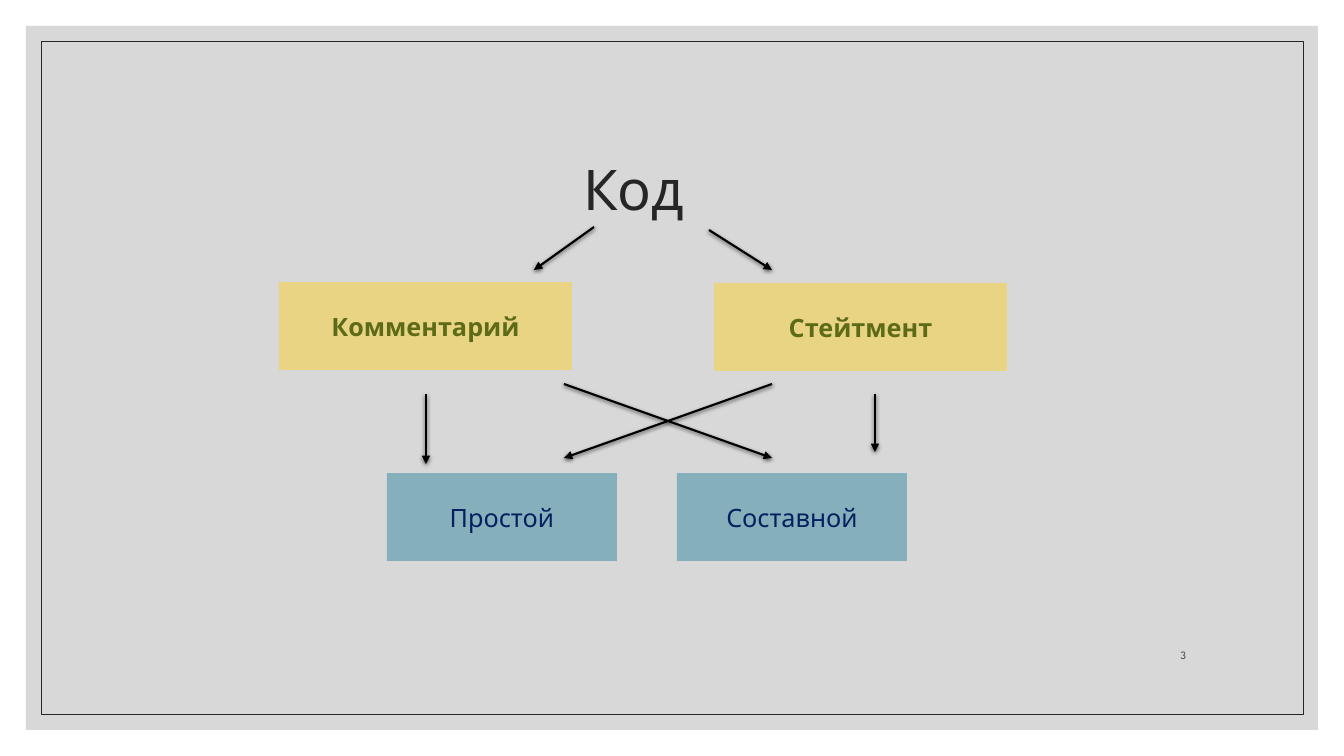
from dataclasses import dataclass

import lxml.etree
import pptx
import pptx.dml.color
import pptx.enum.shapes
import pptx.enum.text
import pptx.oxml
import pptx.oxml.ns
import pptx.util

RGBColor = pptx.dml.color.RGBColor
Align = pptx.enum.text.PP_ALIGN
Anchor = pptx.enum.text.MSO_ANCHOR

EMU_PER_PX = 914400 / 100.8
FONT = "League Spartan"
GREY = RGBColor(0xBF, 0xBF, 0xBF)
INK = RGBColor(0x26, 0x26, 0x26)
NUMBER_GREY = RGBColor(0x40, 0x40, 0x40)
YELLOW = RGBColor(0xF8, 0xD2, 0x2F)
OLIVE = RGBColor(0x5D, 0x6B, 0x18)
TEAL = RGBColor(0x34, 0x88, 0xA0)
NAVY = RGBColor(0x00, 0x20, 0x60)
BLACK = RGBColor(0x00, 0x00, 0x00)

SHADOW = (
    f'<a:effectLst {pptx.oxml.ns.nsdecls("a")}>'
    '<a:outerShdw blurRad="38100" dist="12700" dir="5400000" rotWithShape="0">'
    '<a:srgbClr val="000000"><a:alpha val="63000"/></a:srgbClr>'
    "</a:outerShdw></a:effectLst>"
)


@dataclass(frozen=True)
class Level:
    width: int
    fill: RGBColor
    color: RGBColor
    bold: bool


@dataclass(frozen=True)
class Node:
    text: str
    left: int
    top: int
    level: Level


@dataclass(frozen=True)
class Arrow:
    start: tuple[int, int]
    end: tuple[int, int]


NODE_HEIGHT = 88
PART = Level(293, YELLOW, OLIVE, True)
KIND = Level(230, TEAL, NAVY, False)

NODES = [
    Node("Комментарий", 279, 282, PART),
    Node("Стейтмент", 714, 283, PART),
    Node("Простой", 387, 473, KIND),
    Node("Составной", 677, 473, KIND),
]
ARROWS = [
    Arrow((594, 227), (534, 270)),
    Arrow((709, 230), (772, 270)),
    Arrow((426, 394), (426, 464)),
    Arrow((875, 394), (875, 452)),
    Arrow((772, 384), (564, 458)),
    Arrow((564, 384), (772, 458)),
]


def px(length: int) -> pptx.util.Emu:
    return pptx.util.Emu(round(length * EMU_PER_PX))


def set_all(target, values: dict) -> None:
    for name, value in values.items():
        setattr(target, name, value)


def write(shape, text: str, size: int, color: RGBColor, align: Align,
          anchor: Anchor, bold: bool = False) -> None:
    frame = shape.text_frame
    set_all(frame, {
        "text": text,
        "word_wrap": True,
        "auto_size": pptx.enum.text.MSO_AUTO_SIZE.NONE,
        "vertical_anchor": anchor,
    })
    paragraph = frame.paragraphs[0]
    paragraph.alignment = align
    font = paragraph.runs[0].font
    set_all(font, {"name": FONT, "size": pptx.util.Pt(size), "bold": bold})
    font.color.rgb = color


def add_rectangle(slide, left: int, top: int, width: int, height: int):
    rectangle = slide.shapes.add_shape(
        pptx.enum.shapes.MSO_SHAPE.RECTANGLE,
        px(left), px(top), px(width), px(height))
    rectangle.shadow.inherit = False
    return rectangle


def fill_translucent(shape, color: RGBColor, percent: int) -> None:
    shape.fill.solid()
    shape.fill.fore_color.rgb = color
    shape.line.fill.background()
    tint = shape.element.spPr.find(
        f'{pptx.oxml.ns.qn("a:solidFill")}/{pptx.oxml.ns.qn("a:srgbClr")}')
    lxml.etree.SubElement(
        tint, pptx.oxml.ns.qn("a:alpha"), val=str(percent * 1000))


def add_backdrop(slide) -> None:
    panel = add_rectangle(slide, 26, 26, 1292, 704)
    fill_translucent(panel, GREY, 60)
    border = add_rectangle(slide, 41, 41, 1262, 673)
    border.fill.background()
    border.line.color.rgb = INK
    border.line.width = pptx.util.Pt(0.5)


def place_title(slide) -> None:
    title = slide.shapes.title
    set_all(title, {"left": px(573), "top": px(125),
                    "width": px(136), "height": px(134)})
    write(title, "Код", 40, INK, Align.LEFT, Anchor.MIDDLE)
    title.text_frame.paragraphs[0].line_spacing = 0.9
    title.element.getparent().append(title.element)


def add_page_number(slide) -> None:
    number = slide.shapes.add_textbox(px(1103), px(627), px(93), px(40))
    write(number, "3", 8, NUMBER_GREY, Align.RIGHT, Anchor.BOTTOM)


def add_node(slide, node: Node) -> None:
    level = node.level
    box = add_rectangle(slide, node.left, node.top, level.width, NODE_HEIGHT)
    fill_translucent(box, level.fill, 50)
    write(box, node.text, 18, level.color, Align.CENTER, Anchor.MIDDLE,
          level.bold)


def add_arrow(slide, arrow: Arrow) -> None:
    connector = slide.shapes.add_connector(
        pptx.enum.shapes.MSO_CONNECTOR.STRAIGHT,
        *map(px, arrow.start + arrow.end))
    connector.line.color.rgb = BLACK
    connector.line.width = pptx.util.Pt(1.5)
    properties = connector.element.spPr
    lxml.etree.SubElement(
        properties.find(pptx.oxml.ns.qn("a:ln")),
        pptx.oxml.ns.qn("a:tailEnd"), type="triangle")
    properties.append(pptx.oxml.parse_xml(SHADOW))


def main() -> None:
    deck = pptx.Presentation()
    set_all(deck, {"slide_width": px(1344), "slide_height": px(756)})
    slide = deck.slides.add_slide(deck.slide_layouts.get_by_name("Title Only"))
    add_backdrop(slide)
    place_title(slide)
    add_page_number(slide)
    for node in NODES:
        add_node(slide, node)
    for arrow in ARROWS:
        add_arrow(slide, arrow)
    deck.save("out.pptx")


if __name__ == "__main__":
    main()
